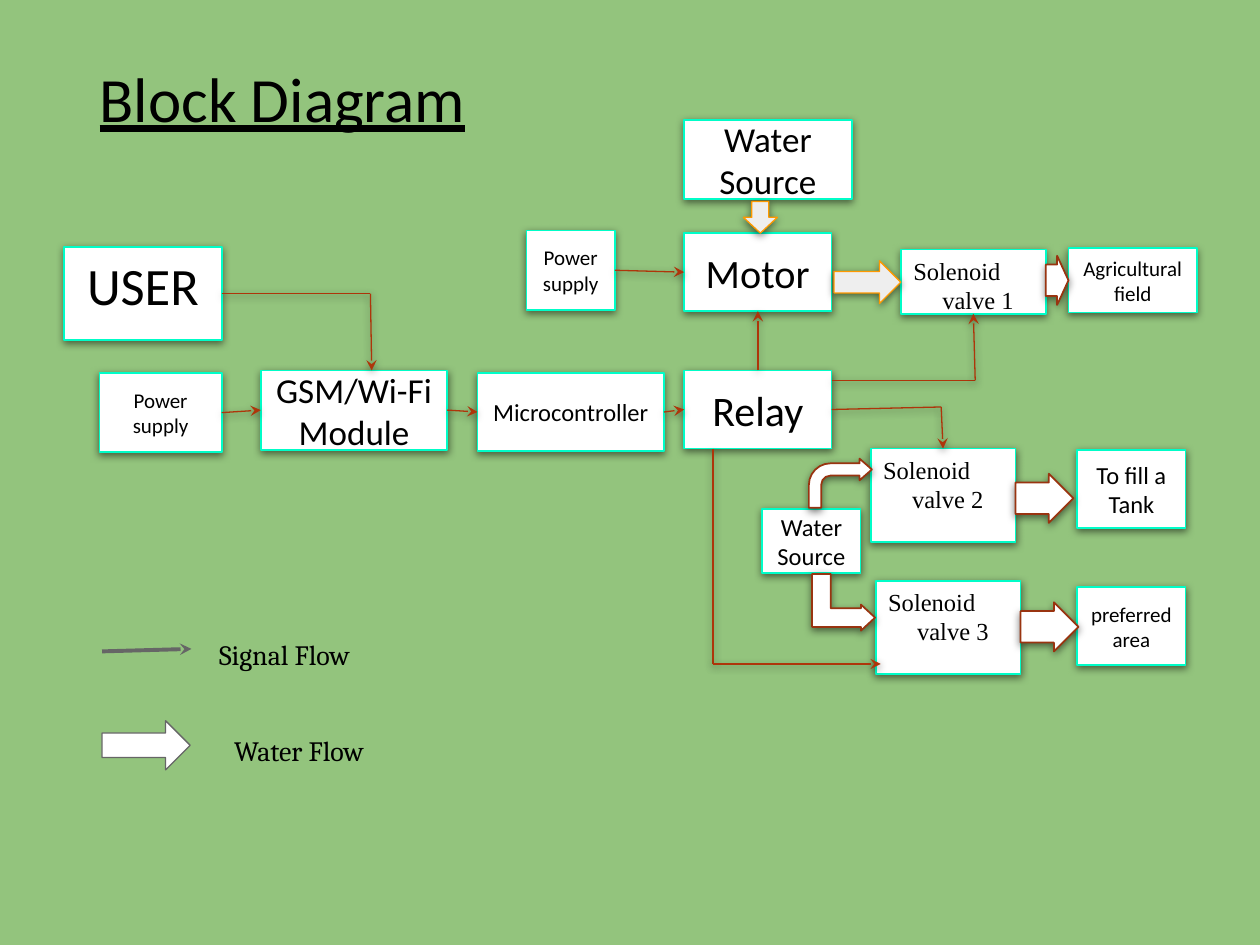
from lxml import etree
from pptx import Presentation
from pptx.dml.color import RGBColor
from pptx.enum.shapes import MSO_CONNECTOR, MSO_SHAPE
from pptx.enum.text import MSO_ANCHOR, MSO_AUTO_SIZE, PP_ALIGN
from pptx.oxml.ns import qn
from pptx.util import Inches, Pt

RECT = MSO_SHAPE.RECTANGLE
RIGHT_ARROW = MSO_SHAPE.RIGHT_ARROW
DOWN_ARROW = MSO_SHAPE.DOWN_ARROW
BENT_ARROW = MSO_SHAPE.BENT_ARROW
BENT_UP_ARROW = MSO_SHAPE.BENT_UP_ARROW
STRAIGHT = MSO_CONNECTOR.STRAIGHT
TOP, MIDDLE = MSO_ANCHOR.TOP, MSO_ANCHOR.MIDDLE
LEFT, CENTER = PP_ALIGN.LEFT, PP_ALIGN.CENTER
NO_FIT = MSO_AUTO_SIZE.NONE
SIDE_TOP, SIDE_LEFT, SIDE_BOTTOM, SIDE_RIGHT = range(4)

GREEN = RGBColor(0x93, 0xC4, 0x7D)
WHITE = RGBColor(0xFF, 0xFF, 0xFF)
BLACK = RGBColor(0, 0, 0)
AQUA = RGBColor(0x00, 0xFD, 0xC8)
RUST = RGBColor(0xAE, 0x35, 0x0A)
BROWN = RGBColor(0x99, 0x34, 0x10)
ORANGE = RGBColor(0xFF, 0x99, 0x00)
PALE = RGBColor(0xEE, 0xEE, 0xEE)
GRAY = RGBColor(0x66, 0x66, 0x66)


class Diagram:
    sans, serif, legend = "Calibri", "Times New Roman", "Cambria"

    def __init__(self, slide):
        self.slide = slide
        self.shapes = slide.shapes

    def effects(self, sp, shadow):
        spPr = sp._element.spPr
        effects = etree.SubElement(spPr, qn("a:effectLst"))
        if shadow:
            outer = etree.SubElement(effects, qn("a:outerShdw"), blurRad=str(Pt(4.5)),
                                     dist=str(Pt(1.5)), dir="5400000", rotWithShape="0")
            color = etree.SubElement(outer, qn("a:srgbClr"), val=str(BLACK))
            etree.SubElement(color, qn("a:alpha"), val="50000")

    def set_text(self, sp, text, size, font, align=LEFT, anchor=TOP, margin=0.1):
        tf = sp.text_frame
        tf.text = text
        tf.word_wrap = True
        tf.auto_size = NO_FIT
        tf.vertical_anchor = anchor
        tf.margin_left = tf.margin_right = Inches(0.1)
        tf.margin_top = tf.margin_bottom = Inches(margin)
        p = tf.paragraphs[0]
        p.alignment = align
        r = p.runs[0]
        r.font.size = Pt(size)
        r.font.name = font
        r.font.color.rgb = BLACK
        return p

    def title(self, text, x, y, w, h):
        sp = self.shapes.title
        sp.left, sp.top, sp.width, sp.height = map(Inches, (x, y, w, h))
        p = self.set_text(sp, text, 36, self.sans)
        p.runs[0].font.underline = True

    def label(self, text, x, y, w=1.48, h=0.39):
        sp = self.shapes.add_textbox(*map(Inches, (x, y, w, h)))
        self.set_text(sp, text, 16, self.legend)

    def shape(self, kind, x, y, w, h, fill, line, weight, shadow=True):
        sp = self.shapes.add_shape(kind, *map(Inches, (x, y, w, h)))
        sp.fill.solid()
        sp.fill.fore_color.rgb = fill
        sp.line.color.rgb = line
        sp.line.width = Pt(weight)
        self.effects(sp, shadow)
        return sp

    def box(self, text, size, x, y, w, h, anchor=MIDDLE):
        sp = self.shape(RECT, x, y, w, h, WHITE, AQUA, 1)
        self.set_text(sp, text, size, self.sans, CENTER, anchor, 0.05)
        return sp

    def valve(self, text, x, y, h):
        sp = self.shape(RECT, x, y, 1.15, h, WHITE, AQUA, 1)
        p = self.set_text(sp, text, 14, self.serif, margin=0.05)
        pPr = p._p.get_or_add_pPr()
        pPr.set("marL", str(Inches(0.23)))
        pPr.set("indent", str(Inches(-0.23)))
        return sp

    def flow(self, kind, x, y, w, h, adj, fill=WHITE, line=BROWN, weight=1,
             rotation=0, shadow=True):
        sp = self.shape(kind, x, y, w, h, fill, line, weight, shadow)
        for i, value in enumerate(adj):
            sp.adjustments[i] = value
        sp.rotation = rotation

    def signal(self, start, end, begin=None, finish=None, head=True,
               color=RUST, weight=0.75, shadow=True):
        line = self.shapes.add_connector(STRAIGHT, *map(Inches, start + end))
        line.line.color.rgb = color
        line.line.width = Pt(weight)
        if head:
            ln = line._element.spPr.find(qn("a:ln"))
            etree.SubElement(ln, qn("a:tailEnd"), type="stealth")
        self.effects(line, shadow)
        if begin:
            line.begin_connect(*begin)
        if finish:
            line.end_connect(*finish)


def main():
    prs = Presentation()
    prs.slide_width, prs.slide_height = Inches(10), Inches(7.5)
    s = prs.slides.add_slide(prs.slide_layouts[5])
    s.background.fill.solid()
    s.background.fill.fore_color.rgb = GREEN
    d = Diagram(s)

    d.title("Block Diagram", 0.69, 0.37, 3.47, 0.94)
    d.signal((0.81, 5.17), (1.52, 5.15), color=GRAY, weight=2.25, shadow=False)
    d.flow(RIGHT_ARROW, 0.81, 5.72, 0.7, 0.39, (0.5, 0.5), line=GRAY, weight=0.75,
           shadow=False)
    d.label("Signal Flow", 1.64, 4.96)
    d.label("Water Flow", 1.76, 5.72)

    user = d.box("USER", 30, 0.51, 1.96, 1.25, 0.74, TOP)
    gsm = d.box("GSM/Wi-Fi Module", 20, 2.07, 2.94, 1.48, 0.63)
    gsm_power = d.box("Power supply", 12, 0.79, 2.96, 0.97, 0.63)
    micro = d.box("Microcontroller", 14, 3.79, 2.96, 1.48, 0.62)
    motor = d.box("Motor", 23, 5.43, 1.85, 1.17, 0.62)
    d.box("Water Source", 20, 5.43, 0.95, 1.33, 0.63)
    relay = d.box("Relay", 24, 5.43, 2.94, 1.17, 0.62)
    motor_power = d.box("Power supply", 12, 4.18, 1.83, 0.7, 0.63)
    d.box("Water Source", 14, 6.05, 4.04, 0.78, 0.51)
    d.box("Agricultural field", 12, 8.48, 1.97, 1.02, 0.51)
    d.box("To fill a Tank", 14, 8.55, 3.57, 0.86, 0.62)
    d.box("preferred area", 12, 8.55, 4.66, 0.86, 0.62)
    valve_1 = d.valve("Solenoid valve 1", 7.15, 1.98, 0.51)
    valve_2 = d.valve("Solenoid valve 2", 6.91, 3.56, 0.74)
    d.valve("Solenoid valve 3", 6.95, 4.61, 0.74)

    d.signal((1.76, 2.33), (2.94, 2.33), (user, SIDE_RIGHT), head=False)
    d.signal((2.94, 2.33), (2.95, 2.94))
    d.signal((1.76, 3.26), (2.07, 3.25), (gsm_power, SIDE_RIGHT), (gsm, SIDE_LEFT))
    d.signal((3.55, 3.26), (3.79, 3.25), (gsm, SIDE_RIGHT), (micro, SIDE_LEFT))
    d.signal((5.27, 3.25), (5.43, 3.24), (micro, SIDE_RIGHT), (relay, SIDE_LEFT))
    d.signal((4.88, 2.15), (5.43, 2.15), (motor_power, SIDE_RIGHT), (motor, SIDE_LEFT))
    d.signal((6.02, 2.94), (6.02, 2.47), (relay, SIDE_TOP), (motor, SIDE_BOTTOM))
    d.signal((6.6, 3.02), (7.74, 3.02), head=False)
    d.signal((7.74, 3.02), (7.72, 2.49), finish=(valve_1, SIDE_BOTTOM))
    d.signal((6.6, 3.24), (7.47, 3.23), (relay, SIDE_RIGHT), head=False)
    d.signal((7.47, 3.23), (7.47, 3.56), finish=(valve_2, SIDE_TOP))
    d.signal((5.66, 3.56), (5.66, 5.27), head=False)
    d.signal((5.66, 5.27), (6.99, 5.27))

    d.flow(BENT_ARROW, 6.42, 3.64, 0.5, 0.39, (0.25, 0.22, 0.25, 0.44))
    d.flow(BENT_UP_ARROW, 6.47, 4.53, 0.45, 0.5, (0.33, 0.23, 0.25), rotation=90)
    for x, y, w in ((8.1, 4.78, 0.46), (8.06, 3.76, 0.46), (8.3, 2.03, 0.18)):
        d.flow(RIGHT_ARROW, x, y, w, 0.39, (0.64, 0.5))
    d.flow(RIGHT_ARROW, 6.62, 2.07, 0.53, 0.34, (0.5, 0.5), PALE, ORANGE, 0.75)
    d.flow(DOWN_ARROW, 5.9, 1.6, 0.27, 0.25, (0.5, 0.5), PALE, ORANGE, 0.75)

    prs.save("out.pptx")


if __name__ == "__main__":
    main()
